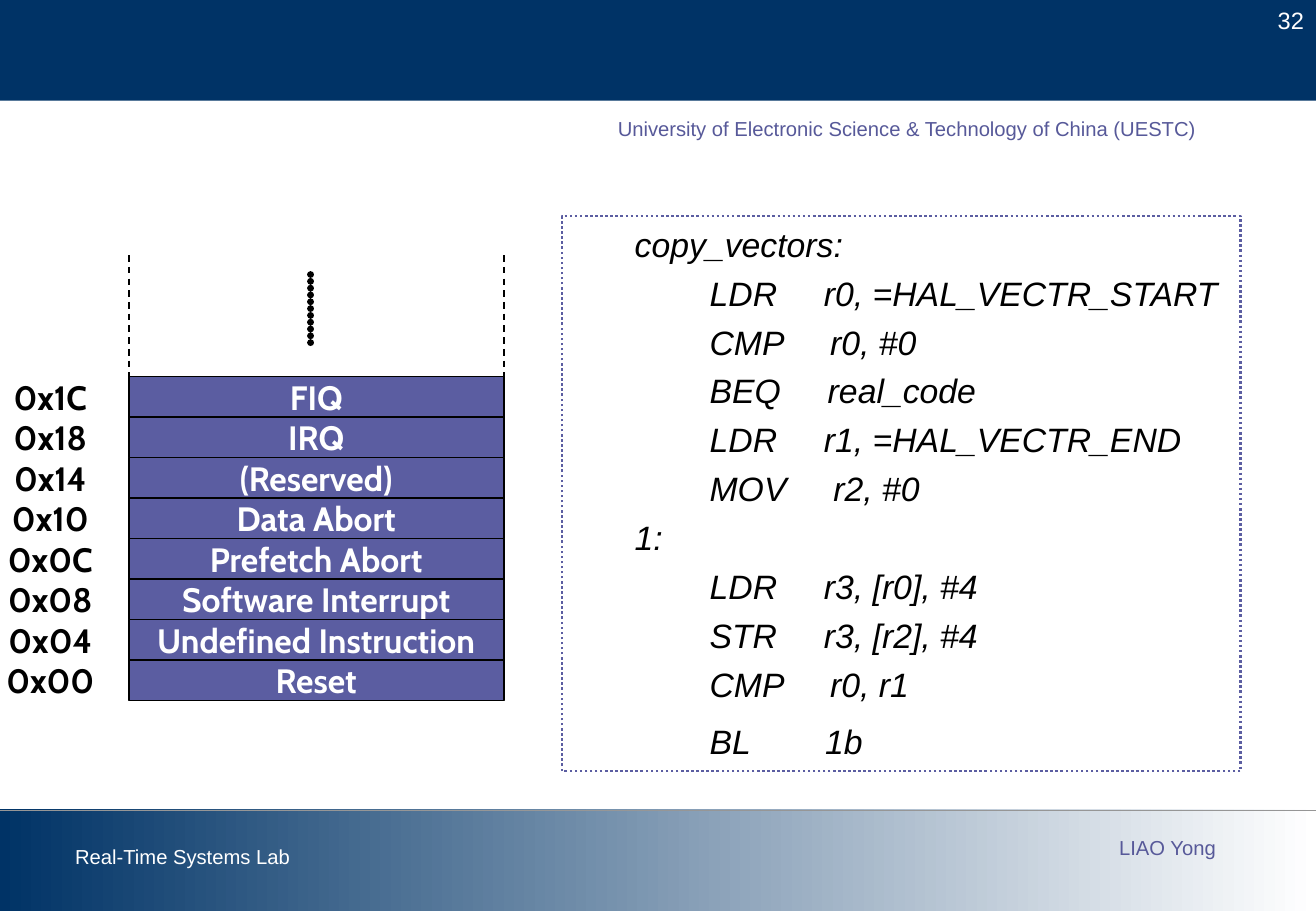
"""Build a slide showing the exception vector table beside the code that copies it."""
import pptx
import pptx.util
import pptx.dml.color
import pptx.enum.dml
import pptx.enum.shapes
import pptx.enum.text
import pptx.oxml

Inches = pptx.util.Inches
Pt = pptx.util.Pt
ALIGN = pptx.enum.text.PP_ALIGN
ANCHOR = pptx.enum.text.MSO_ANCHOR
DASH = pptx.enum.dml.MSO_LINE
DRAWING = 'xmlns:a="http://schemas.openxmlformats.org/drawingml/2006/main"'

VECTORS = [
    ("0x1C", "FIQ"),
    ("0x18", "IRQ"),
    ("0x14", "(Reserved)"),
    ("0x10", "Data Abort"),
    ("0x0C", "Prefetch Abort"),
    ("0x08", "Software Interrupt"),
    ("0x04", "Undefined Instruction"),
    ("0x00", "Reset"),
]
CODE = [
    "copy_vectors:",
    "        LDR     r0, =HAL_VECTR_START",
    "        CMP     r0, #0",
    "        BEQ     real_code",
    "        LDR     r1, =HAL_VECTR_END",
    "        MOV     r2, #0",
    "1:",
    "        LDR     r3, [r0], #4",
    "        STR     r3, [r2], #4",
    "        CMP     r0, r1",
    "        BL        1b",
]
FOOTER_LEFT = "Real-Time Systems Lab"
FOOTER_RIGHT = "LIAO Yong"
UNIVERSITY = "University of Electronic Science & Technology of China (UESTC)"
PAGE_NUMBER = "32"

THEME = {
    "navy": "003366", "violet": "5B5DA1", "label": "575999", "grey": "969696",
    "white": "FFFFFF", "black": "000000",
    "body_font": "Arial", "table_font": "Cabin",
    "code_size": 20, "table_size": 20, "number_size": 14, "label_size": 12,
}
WIDTH, HEIGHT = 10.84, 7.5
HEADER_HEIGHT = 0.83
FOOTER_TOP = 6.66
TABLE_LEFT, TABLE_TOP, TABLE_WIDTH = 1.06, 3.1, 3.09
ROW_HEIGHT = 1 / 3
ADDRESS_WIDTH = 0.83
MEMORY_TOP = 2.1
DOTS_LEFT, DOTS_TOP, DOTS_BOTTOM = 2.56, 2.26, 2.84


def color(name):
    return pptx.dml.color.RGBColor.from_string(THEME[name])


def add_box(page, at, fill=None, line=None, weight=1, dash=None):
    box = page.shapes.add_shape(
        pptx.enum.shapes.MSO_SHAPE.RECTANGLE, *map(Inches, at))
    box.shadow.inherit = False
    if fill:
        box.fill.solid()
        box.fill.fore_color.rgb = color(fill)
    else:
        box.fill.background()
    if line:
        box.line.color.rgb = color(line)
        box.line.width = Pt(weight)
        if dash:
            box.line.dash_style = dash
    else:
        box.line.fill.background()
    return box


def add_line(page, start, end, line, weight, dash=None):
    rule = page.shapes.add_connector(
        pptx.enum.shapes.MSO_CONNECTOR.STRAIGHT, *map(Inches, start + end))
    rule.line.color.rgb = color(line)
    rule.line.width = Pt(weight)
    if dash:
        rule.line.dash_style = dash
    rule._element.spPr.append(pptx.oxml.parse_xml(f"<a:effectLst {DRAWING}/>"))
    return rule


def write(box, lines, font="body_font", size="label_size", ink="black", bold=False,
          italic=False, align=ALIGN.LEFT, anchor=ANCHOR.TOP, wrap=False,
          gap=0, last_gap=0, indent=0, top=0.05, side=0.1):
    frame = box.text_frame
    frame.word_wrap = wrap
    frame.vertical_anchor = anchor
    frame.margin_left = frame.margin_right = Inches(side)
    frame.margin_top, frame.margin_bottom = Inches(top), Inches(0.05)
    for index, line in enumerate(lines):
        para = frame.paragraphs[0] if index == 0 else frame.add_paragraph()
        para.alignment = align
        if indent:
            para._p.get_or_add_pPr().set("marL", str(Inches(indent)))
        if index:
            para.space_before = Pt(last_gap if index == len(lines) - 1 else gap)
        span = para.add_run()
        span.text = line
        span.font.name = THEME[font]
        span.font.size = Pt(THEME[size])
        span.font.bold = bold
        span.font.italic = italic
        span.font.color.rgb = color(ink)


def add_text(page, at, text, **style):
    write(page.shapes.add_textbox(*map(Inches, at)), [text], **style)


def add_frame(page):
    add_line(page, (0, HEADER_HEIGHT), (WIDTH, HEADER_HEIGHT), "white", 0.75)
    add_box(page, (0, 0, WIDTH, HEADER_HEIGHT), fill="navy")
    add_text(page, (10.2, 0, 0.64, 0.33), PAGE_NUMBER, size="number_size",
             ink="white", align=ALIGN.RIGHT, wrap=True)
    footer = add_box(page, (0, FOOTER_TOP, WIDTH, HEIGHT - FOOTER_TOP))
    footer.fill.gradient()
    footer.fill.gradient_angle = 0
    for stop, (position, name) in zip(footer.fill.gradient_stops, [(0, "navy"), (1, "white")]):
        stop.position = position
        stop.color.rgb = color(name)
    add_line(page, (0, 6.67), (WIDTH, 6.67), "grey", 0.75)
    add_text(page, (0.52, 6.9, 2.02, 0.3), FOOTER_LEFT, ink="white")
    add_text(page, (9.12, 6.83, 1.01, 0.3), FOOTER_RIGHT, ink="label")
    add_text(page, (4.99, 0.91, 5.88, 0.3), UNIVERSITY, ink="label", wrap=True)


def add_vectors(page):
    style = {"font": "table_font", "size": "table_size", "bold": True,
             "align": ALIGN.CENTER, "anchor": ANCHOR.MIDDLE, "side": 0}
    for row, (address, vector) in enumerate(VECTORS):
        top = TABLE_TOP + row * ROW_HEIGHT
        cell = add_box(page, (TABLE_LEFT, top, TABLE_WIDTH, ROW_HEIGHT), "violet", "black")
        write(cell, [vector], ink="white", **style)
        add_text(page, (0, top, ADDRESS_WIDTH, ROW_HEIGHT), address, **style)
    for left in (TABLE_LEFT, TABLE_LEFT + TABLE_WIDTH):
        add_line(page, (left, MEMORY_TOP), (left, TABLE_TOP), "black", 1, DASH.DASH)
    dots = add_line(page, (DOTS_LEFT, DOTS_TOP), (DOTS_LEFT, DOTS_BOTTOM), "black", 4)
    outline = dots.line._get_or_add_ln()
    outline.set("cap", "rnd")
    outline.append(pptx.oxml.parse_xml(
        f'<a:custDash {DRAWING}><a:ds d="1000" sp="100000"/></a:custDash>'))


def main():
    deck = pptx.Presentation()
    deck.slide_width, deck.slide_height = Inches(WIDTH), Inches(HEIGHT)
    page = deck.slides.add_slide(deck.slide_layouts[6])
    add_frame(page)
    listing = add_box(page, (4.63, 1.78, 5.59, 4.57), line="violet", weight=1.5,
                      dash=DASH.ROUND_DOT)
    write(listing, CODE, size="code_size", italic=True, wrap=True,
          gap=5, last_gap=10, indent=0.5, top=0.06)
    add_vectors(page)
    deck.save("out.pptx")


if __name__ == "__main__":
    main()
